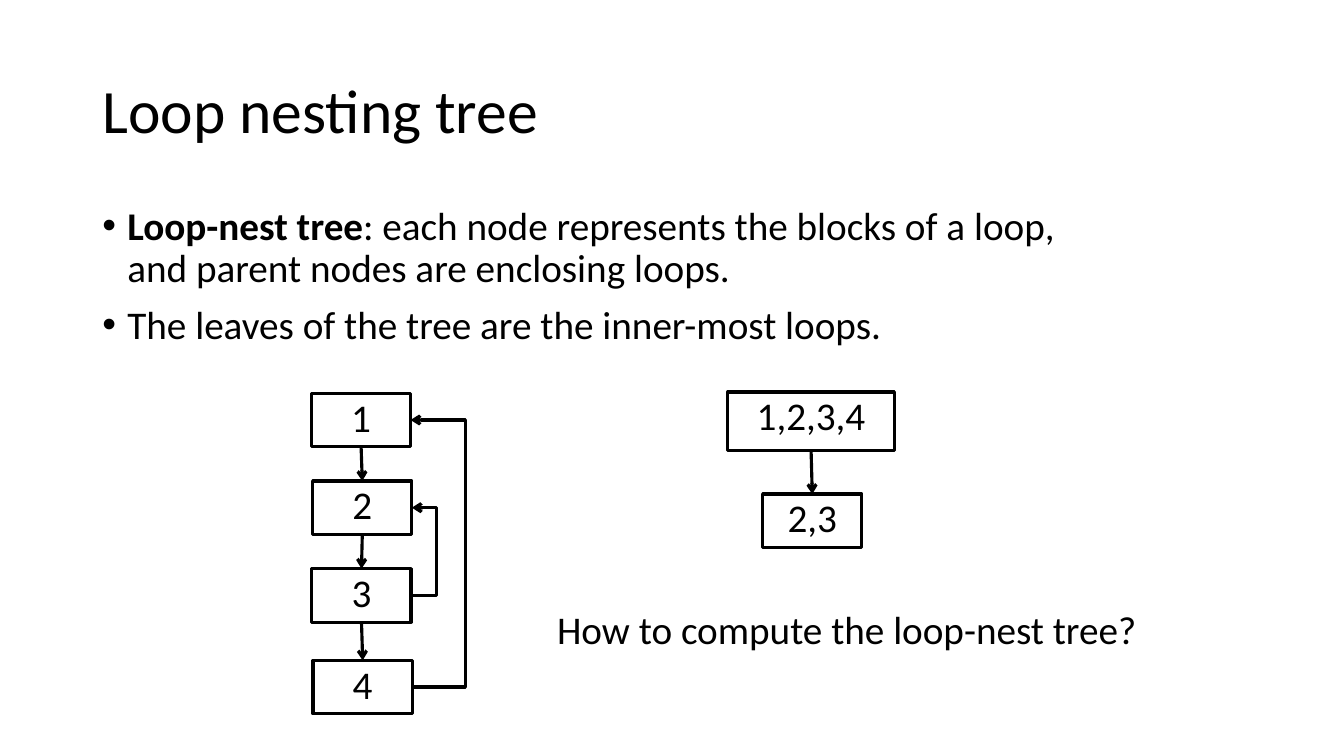
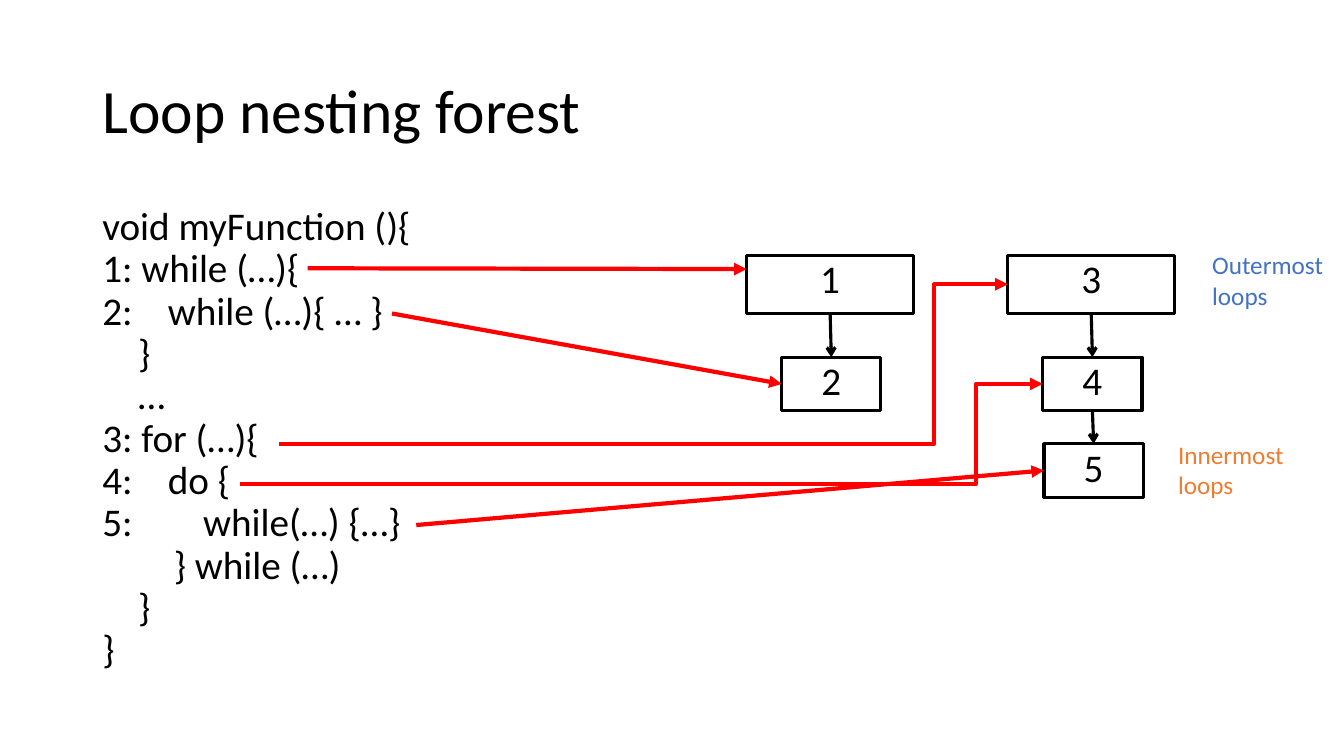
from itertools import pairwise

from lxml.etree import SubElement
from pptx import Presentation
from pptx.dml.color import RGBColor
from pptx.enum.shapes import MSO_CONNECTOR, MSO_SHAPE
from pptx.enum.text import MSO_ANCHOR, PP_ALIGN
from pptx.oxml.ns import qn
from pptx.util import Cm, Pt

FONT = "Calibri"
COLORS = {"ink": "000000", "link": "FF0000", "outer": "4472C4", "inner": "ED7D31"}
TOP, LEFT, BOTTOM, RIGHT = range(4)  # connection sites of a rectangle
NODE_WIDTH, NODE_HEIGHT = 2.5, 1.35
ROOT_WIDTH, ROOT_HEIGHT = 4.2, 1.47
MARGIN = 2.33
BODY_TOP = 5.08


def site_point(node, site):
    """Return the position of a connection site in EMU."""
    middle, centre = node.width // 2, node.height // 2
    x = node.left + (middle, 0, middle, node.width)[site]
    y = node.top + (0, centre, node.height, centre)[site]
    return x, y


class Deck:
    def __init__(self):
        self.presentation = Presentation()
        self.presentation.slide_width = Cm(33.87)
        self.presentation.slide_height = Cm(19.05)
        self.slide = None

    def new_slide(self, title):
        self.slide = self.presentation.slides.add_slide(self.presentation.slide_layouts[6])
        frame = self.text_frame(MARGIN, 1.01, 29.21, 3.68)
        frame.vertical_anchor = MSO_ANCHOR.MIDDLE
        self.fill_paragraph(frame.paragraphs[0], title, size=44)

    def text_frame(self, left, top, width, height, wrap=True):
        box = self.slide.shapes.add_textbox(Cm(left), Cm(top), Cm(width), Cm(height))
        box.text_frame.word_wrap = wrap
        return box.text_frame

    def fill_paragraph(self, paragraph, text, lead="", size=28, color="ink", spacing=0.9):
        """Fill a paragraph with an optional bold lead and a text."""
        paragraph.line_spacing = spacing
        font = paragraph.font
        font.name, font.size = FONT, Pt(size)
        font.color.rgb = RGBColor.from_string(COLORS[color])
        if lead:
            bold_run = paragraph.add_run()
            bold_run.text = lead
            bold_run.font.bold = True
        for index, line in enumerate(text.split("\n")):
            if index:
                paragraph.add_line_break()
            paragraph.add_run().text = line

    def paragraphs(self, frame, count):
        return [frame.paragraphs[0]] + [frame.add_paragraph() for _ in range(count - 1)]

    def bullets(self, items):
        frame = self.text_frame(MARGIN, BODY_TOP, 29.16, 4.23)
        for paragraph, (lead, text) in zip(self.paragraphs(frame, len(items)), items):
            properties = paragraph._p.get_or_add_pPr()
            properties.set("marL", str(Cm(0.63)))
            properties.set("indent", str(-Cm(0.63)))
            SubElement(properties, qn("a:buFont"), typeface="Arial")
            SubElement(properties, qn("a:buChar"), char="•")
            paragraph.space_before = Pt(10)
            self.fill_paragraph(paragraph, text, lead)

    def code(self, lines):
        """Set (label, indent in cm, code) lines; labelled code sits at a tab stop."""
        frame = self.text_frame(MARGIN, BODY_TOP, 12.95, 12.09)
        for paragraph, (label, indent, text) in zip(self.paragraphs(frame, len(lines)), lines):
            properties = paragraph._p.get_or_add_pPr()
            if label:
                stops = SubElement(properties, qn("a:tabLst"))
                SubElement(stops, qn("a:tab"), pos=str(Cm(indent)), algn="l")
                text = f"{label}\t{text}"
            else:
                properties.set("marL", str(Cm(indent)))
                properties.set("indent", "0")
            self.fill_paragraph(paragraph, text)

    def label(self, left, top, width, text, color):
        frame = self.text_frame(left, top, width, 1.8, wrap=False)
        self.fill_paragraph(frame.paragraphs[0], text, size=18, color=color, spacing=1.0)

    def node(self, left, top, text, width=NODE_WIDTH, height=NODE_HEIGHT):
        node = self.slide.shapes.add_shape(
            MSO_SHAPE.RECTANGLE, Cm(left), Cm(top), Cm(width), Cm(height))
        node.shadow.inherit = False
        node.fill.background()
        node.line.color.rgb = RGBColor.from_string(COLORS["ink"])
        node.line.width = Pt(2.25)
        node.text_frame.word_wrap = True
        node.text_frame.vertical_anchor = MSO_ANCHOR.TOP
        paragraph = node.text_frame.paragraphs[0]
        paragraph.alignment = PP_ALIGN.CENTER
        self.fill_paragraph(paragraph, text)
        return node

    def loop_pair(self, left, top, outer, inner):
        """Draw an outer loop with its nested loop below; return both nodes."""
        root = self.node(left, top, outer, ROOT_WIDTH, ROOT_HEIGHT)
        child = self.node(left + 0.88, top + 2.57, inner)
        self.descend(root, child)
        return root, child

    def descend(self, upper, lower):
        self.arrow((upper, BOTTOM), (lower, TOP))

    def arrow(self, start, end, turn=None, color="ink", width=2.25, head="arrow"):
        """Join two ends, each a (node, site) pair or an (x, y) point in cm.

        An arrow with a turn runs at right angles and bends at that x.
        """
        glued = [not isinstance(place[0], (int, float)) for place in (start, end)]
        (x1, y1), (x2, y2) = [
            site_point(*place) if is_glued else map(Cm, place)
            for place, is_glued in zip((start, end), glued)]
        kind = MSO_CONNECTOR.STRAIGHT if turn is None else MSO_CONNECTOR.ELBOW
        line = self.slide.shapes.add_connector(kind, x1, y1, x2, y2)
        if glued[0]:
            line.begin_connect(*start)
        if glued[1]:
            line.end_connect(*end)
        properties = line._element.spPr
        if turn is not None:
            share = round((Cm(turn) - x1) / (x2 - x1) * 100000)
            guides = properties.find(qn("a:prstGeom")).get_or_add_avLst()
            SubElement(guides, qn("a:gd"), name="adj1", fmla=f"val {share}")
        line.line.color.rgb = RGBColor.from_string(COLORS[color])
        line.line.width = Pt(width)
        SubElement(properties.find(qn("a:ln")), qn("a:tailEnd"), type=head)
        SubElement(properties, qn("a:effectLst"))

    def code_link(self, start, end, turn=None):
        self.arrow(start, end, turn, color="link", width=3, head="triangle")


def nesting_tree(deck):
    deck.new_slide("Loop nesting tree")
    deck.bullets([
        ("Loop-nest tree", ": each node represents the blocks of a loop, \n"
                           "and parent nodes are enclosing loops."),
        ("", "The leaves of the tree are the inner-most loops."),
    ])
    places = [(7.85, 9.91), (7.88, 12.12), (7.86, 14.33), (7.89, 16.64)]
    blocks = [deck.node(left, top, str(number))
              for number, (left, top) in enumerate(places, 1)]
    for upper, lower in pairwise(blocks):
        deck.descend(upper, lower)
    for source, target, turn in ((3, 0, 11.73), (2, 1, 11)):
        deck.arrow((blocks[source], RIGHT), (blocks[target], RIGHT), turn)
    deck.loop_pair(18.34, 9.88, "1,2,3,4", "2,3")
    question = deck.text_frame(13.79, 15.27, 17.65, 1.85)
    deck.fill_paragraph(question.paragraphs[0], "How to compute the loop-nest tree?")


def nesting_forest(deck):
    deck.new_slide("Loop nesting forest")
    deck.code([
        ("", 0, "void myFunction (){"),
        ("", 0, "1: while (…){"),
        ("2:", 1.65, "while (…){ … }"),
        ("", 0.9, "}"),
        ("", 0.9, "…"),
        ("", 0, "3: for (…){"),
        ("4:", 1.65, "do {"),
        ("5:", 2.54, "while(…) {…}"),
        ("", 1.8, "} while (…)"),
        ("", 0.9, "}"),
        ("", 0, "}"),
    ])
    _, loop2 = deck.loop_pair(18.82, 6.43, "1", "2")
    loop3, loop4 = deck.loop_pair(25.4, 6.43, "3", "4")
    loop5 = deck.node(26.31, 11.18, "5")
    deck.descend(loop4, loop5)
    deck.code_link((7.75, 6.76), (18.82, 6.78))
    deck.code_link((9.88, 7.9), (loop2, LEFT))
    deck.code_link((7.04, 11.18), (loop3, LEFT), turn=23.55)
    deck.code_link((6.05, 12.19), (loop4, LEFT), turn=24.61)
    deck.code_link((10.49, 13.23), (loop5, LEFT))
    deck.label(30.3, 6.17, 3.33, "Outermost\nloops", "outer")
    deck.label(29.44, 10.95, 3.2, "Innermost\nloops", "inner")


def main():
    deck = Deck()
    nesting_tree(deck)
    nesting_forest(deck)
    deck.presentation.save("out.pptx")


if __name__ == "__main__":
    main()
